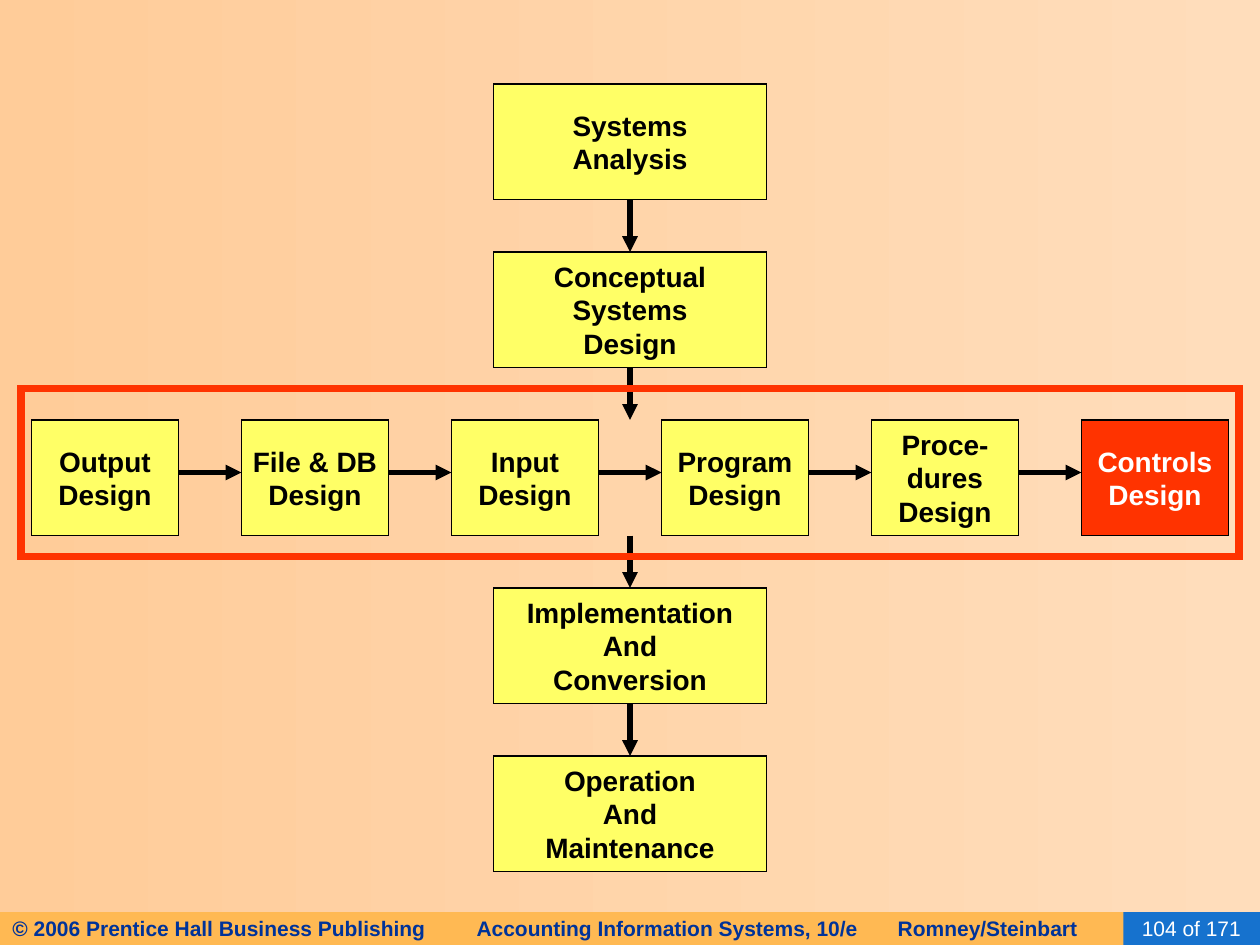
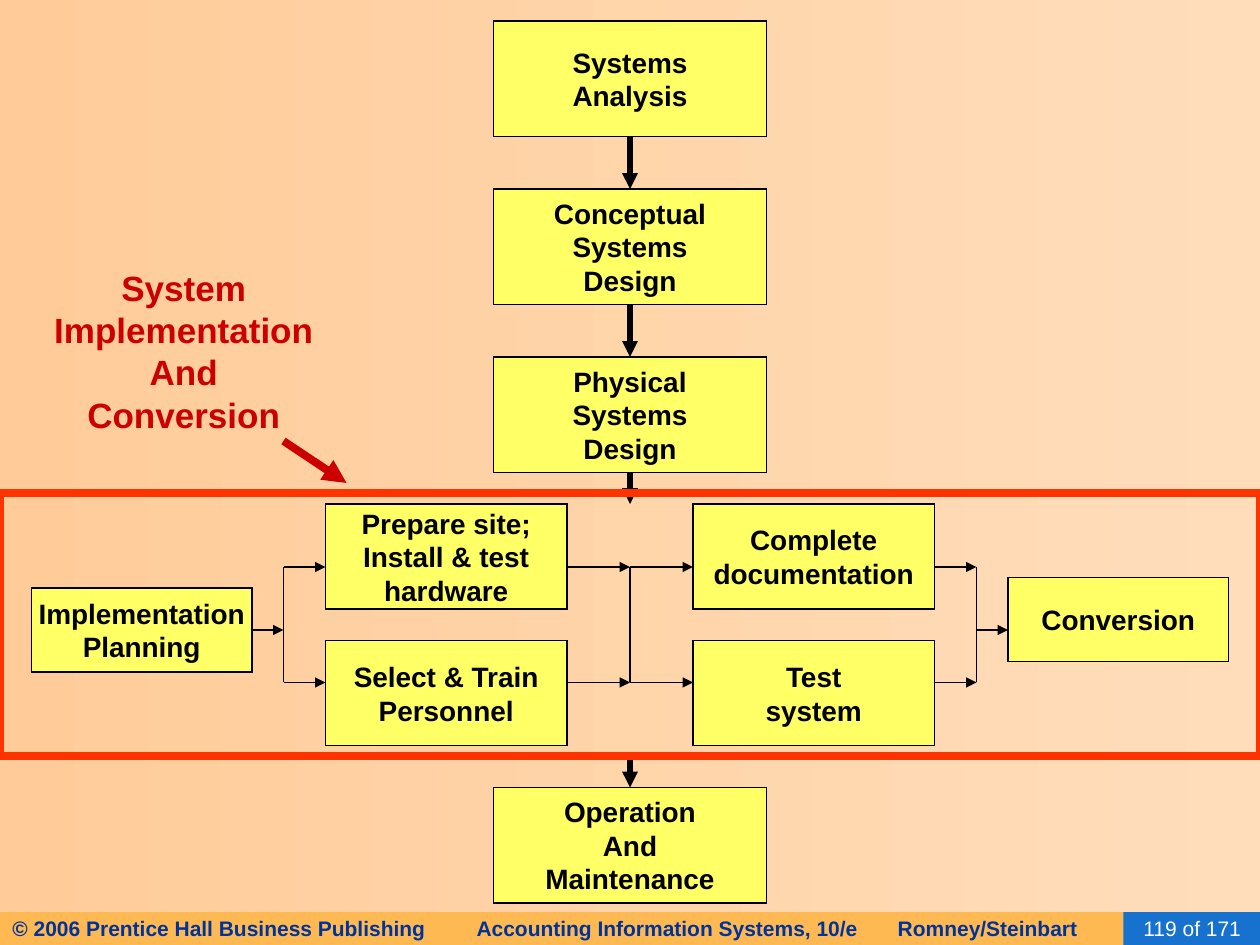
import lxml.etree
import pptx
import pptx.dml.color
import pptx.enum.shapes
import pptx.enum.text
import pptx.oxml.ns
import pptx.util

Pt = pptx.util.Pt
qn = pptx.oxml.ns.qn
ALIGN = pptx.enum.text.PP_ALIGN

FONT = "Arial"
BLACK, WHITE, YELLOW = "000000", "FFFFFF", "FFFF66"
RED, CAPTION_RED = "FF3300", "CC0000"
BAND, BAND_TEXT, COUNTER = "FFB953", "003399", "1672CE"
BACKGROUND = ("FFDDBB", "FFCC99")
TOP, LEFT, BOTTOM, RIGHT = range(4)

CENTER = 360
PHASE_WIDTH, PHASE_HEIGHT, PHASE_PITCH = 156, 66, 96
STEP_WIDTH, STEP_PITCH = 84, 120
TASK_WIDTH, TASK_HEIGHT = 138, 60
FOOTER_TOP, FOOTER_HEIGHT = 521.3, 18.7
FOOTER_TABS = (265.2, 505.9)
FOOTER = ("© 2006 Prentice Hall Business Publishing\t"
          "Accounting Information Systems, 10/e\tRomney/Steinbart")


def rgb(value):
    """Turn a hex string into a colour."""
    return pptx.dml.color.RGBColor.from_string(value)


def write(frame, text, size, color, bold=True, align=ALIGN.CENTER):
    """Fill a text frame and format every run."""
    frame.text = text
    for para in frame.paragraphs:
        para.alignment = align
        for span in para.runs:
            span.font.name = FONT
            span.font.size = Pt(size)
            span.font.bold = bold
            span.font.color.rgb = rgb(color)


def add_rectangle(page, left, top, width, height, fill=None, line=None, weight=0.75):
    """Add a flat rectangle with an optional fill and sharp outline."""
    kind = pptx.enum.shapes.MSO_SHAPE.RECTANGLE
    box = page.shapes.add_shape(kind, Pt(left), Pt(top), Pt(width), Pt(height))
    box.shadow.inherit = False
    if fill:
        box.fill.solid()
        box.fill.fore_color.rgb = rgb(fill)
    else:
        box.fill.background()
    if line:
        box.line.color.rgb = rgb(line)
        box.line.width = Pt(weight)
        outline = box._element.spPr.find(qn("a:ln"))
        lxml.etree.SubElement(outline, qn("a:miter"), lim="800000")
    else:
        box.line.fill.background()
    box.text_frame.vertical_anchor = pptx.enum.text.MSO_ANCHOR.MIDDLE
    return box


def add_box(page, text, left, top, width, height, fill=YELLOW, color=BLACK):
    """Add an outlined box with a centred bold label."""
    box = add_rectangle(page, left, top, width, height, fill, BLACK)
    box.text_frame.word_wrap = False
    write(box.text_frame, text, 16, color)
    return box


def add_phase(page, text, top):
    """Add a development phase on the centre line."""
    return add_box(page, text, CENTER - PHASE_WIDTH / 2, top, PHASE_WIDTH, PHASE_HEIGHT)


def add_frame(page, left, top, width, height):
    """Add the red outline around the phase in focus."""
    return add_rectangle(page, left, top, width, height, line=RED, weight=4.5)


def add_caption(page, text, left, top, width, height):
    """Add a large red caption that keeps its own line breaks."""
    caption = page.shapes.add_textbox(Pt(left), Pt(top), Pt(width), Pt(height))
    frame = caption.text_frame
    frame.word_wrap = False
    frame.auto_size = pptx.enum.text.MSO_AUTO_SIZE.SHAPE_TO_FIT_TEXT
    frame.margin_left = frame.margin_right = Pt(0)
    write(frame, text, 20, CAPTION_RED)


def add_line(page, start, end, weight=0.75, color=BLACK, arrow=True):
    """Add a straight line, with an arrowhead at its end by default."""
    kind = pptx.enum.shapes.MSO_CONNECTOR.STRAIGHT
    line = page.shapes.add_connector(kind, *(Pt(value) for value in (*start, *end)))
    line.line.color.rgb = rgb(color)
    line.line.width = Pt(weight)
    properties = line._element.spPr
    if arrow:
        outline = properties.find(qn("a:ln"))
        lxml.etree.SubElement(outline, qn("a:tailEnd"), type="triangle")
    lxml.etree.SubElement(properties, qn("a:effectLst"))
    return line


def add_flow(page, start, end, above=None, below=None):
    """Add a heavy vertical arrow joined to the phases it touches."""
    flow = add_line(page, (CENTER, start), (CENTER, end), 3)
    if above:
        flow.begin_connect(above, BOTTOM)
    if below:
        flow.end_connect(below, TOP)
    return flow


def add_page(deck, number):
    """Add a slide with the shared background and footer."""
    page = deck.slides.add_slide(deck.slide_layouts[6])
    fill = page.background.fill
    fill.gradient()
    fill.gradient_angle = 180
    for stop, color in zip(fill.gradient_stops, BACKGROUND):
        stop.color.rgb = rgb(color)
    band = add_rectangle(page, 0, FOOTER_TOP, 666, FOOTER_HEIGHT, BAND)
    write(band.text_frame, FOOTER, 12, BAND_TEXT, align=ALIGN.LEFT)
    properties = band.text_frame.paragraphs[0]._p.get_or_add_pPr()
    tabs = lxml.etree.SubElement(properties, qn("a:tabLst"))
    for position in FOOTER_TABS:
        lxml.etree.SubElement(tabs, qn("a:tab"), pos=str(Pt(position)), algn="l")
    counter = add_rectangle(page, 642, FOOTER_TOP, 78, FOOTER_HEIGHT, COUNTER)
    counter.text_frame.margin_right = Pt(10.8)
    write(counter.text_frame, f"{number} of 171", 12, WHITE, False, ALIGN.RIGHT)
    return page


def add_physical_design(deck):
    """Build the slide on the steps of physical design."""
    page = add_page(deck, 104)
    first, row = 48, 48 + 2 * PHASE_PITCH
    analysis = add_phase(page, "Systems\nAnalysis", first)
    conceptual = add_phase(page, "Conceptual\nSystems\nDesign", first + PHASE_PITCH)
    conversion = add_phase(page, "Implementation\nAnd\nConversion", row + PHASE_PITCH)
    operation = add_phase(page, "Operation\nAnd\nMaintenance", row + 2 * PHASE_PITCH)
    phases = (analysis, conceptual, None, conversion, operation)
    for index, (above, below) in enumerate(zip(phases, phases[1:])):
        top = first + index * PHASE_PITCH
        add_flow(page, top + PHASE_HEIGHT, top + PHASE_PITCH, above, below)
    add_frame(page, 12, 222, 696, 96)

    steps = ("Output\nDesign", "File & DB\nDesign", "Input\nDesign",
             "Program\nDesign", "Proce-\ndures\nDesign", "Controls\nDesign")
    for index, step in enumerate(steps):
        left = 18 + index * STEP_PITCH
        last = index == len(steps) - 1
        colors = (RED, WHITE) if last else (YELLOW, BLACK)
        add_box(page, step, left, row, STEP_WIDTH, PHASE_HEIGHT, *colors)
        if not last:
            add_line(page, (left + STEP_WIDTH, 270), (left + STEP_PITCH, 270), 3)


def add_implementation(deck):
    """Build the slide on implementation and conversion."""
    page = add_page(deck, 119)
    names = ("Systems\nAnalysis", "Conceptual\nSystems\nDesign", "Physical\nSystems\nDesign")
    phases = [add_phase(page, name, 12 + index * PHASE_PITCH)
              for index, name in enumerate(names)]
    operation = add_phase(page, "Operation\nAnd\nMaintenance", 450)
    for index, (above, below) in enumerate(zip(phases, phases[1:])):
        top = 12 + index * PHASE_PITCH
        add_flow(page, top + PHASE_HEIGHT, top + PHASE_PITCH, above, below)
    add_flow(page, 270, 288, above=phases[-1])
    outflow = add_flow(page, 432, 450, below=operation)
    frame = add_frame(page, 0, 282, 720, 150)
    outflow.begin_connect(frame, BOTTOM)

    add_caption(page, "System\nImplementation\nAnd\nConversion", 24, 149, 162, 104)
    add_line(page, (162, 252), (198, 276), 4.5, CAPTION_RED)

    columns = {186: ("Prepare site;\nInstall & test\nhardware", "Select & Train\nPersonnel"),
               396: ("Complete\ndocumentation", "Test\nsystem")}
    for left, tasks in columns.items():
        for top, task in zip((288, 366), tasks):
            add_box(page, task, left, top, TASK_WIDTH, TASK_HEIGHT)
    planning = add_box(page, "Implementation\nPlanning", 18, 336, 126, 48)
    add_box(page, "Conversion", 576, 330, 126, 48)

    upper, middle, lower = 324, 360, 390
    for junction in (162, CENTER, 558):
        add_line(page, (junction, upper), (junction, lower), arrow=False)
    for start, end in ((162, 186), (324, CENTER), (CENTER, 396), (534, 558)):
        for height in (upper, lower):
            add_line(page, (start, height), (end, height))
    add_line(page, (144, middle), (162, middle)).begin_connect(planning, RIGHT)
    add_line(page, (558, middle), (576, middle))


def main():
    """Build and save the deck."""
    deck = pptx.Presentation()
    deck.slide_width, deck.slide_height = Pt(720), Pt(540)
    add_physical_design(deck)
    add_implementation(deck)
    deck.save("out.pptx")


if __name__ == "__main__":
    main()
